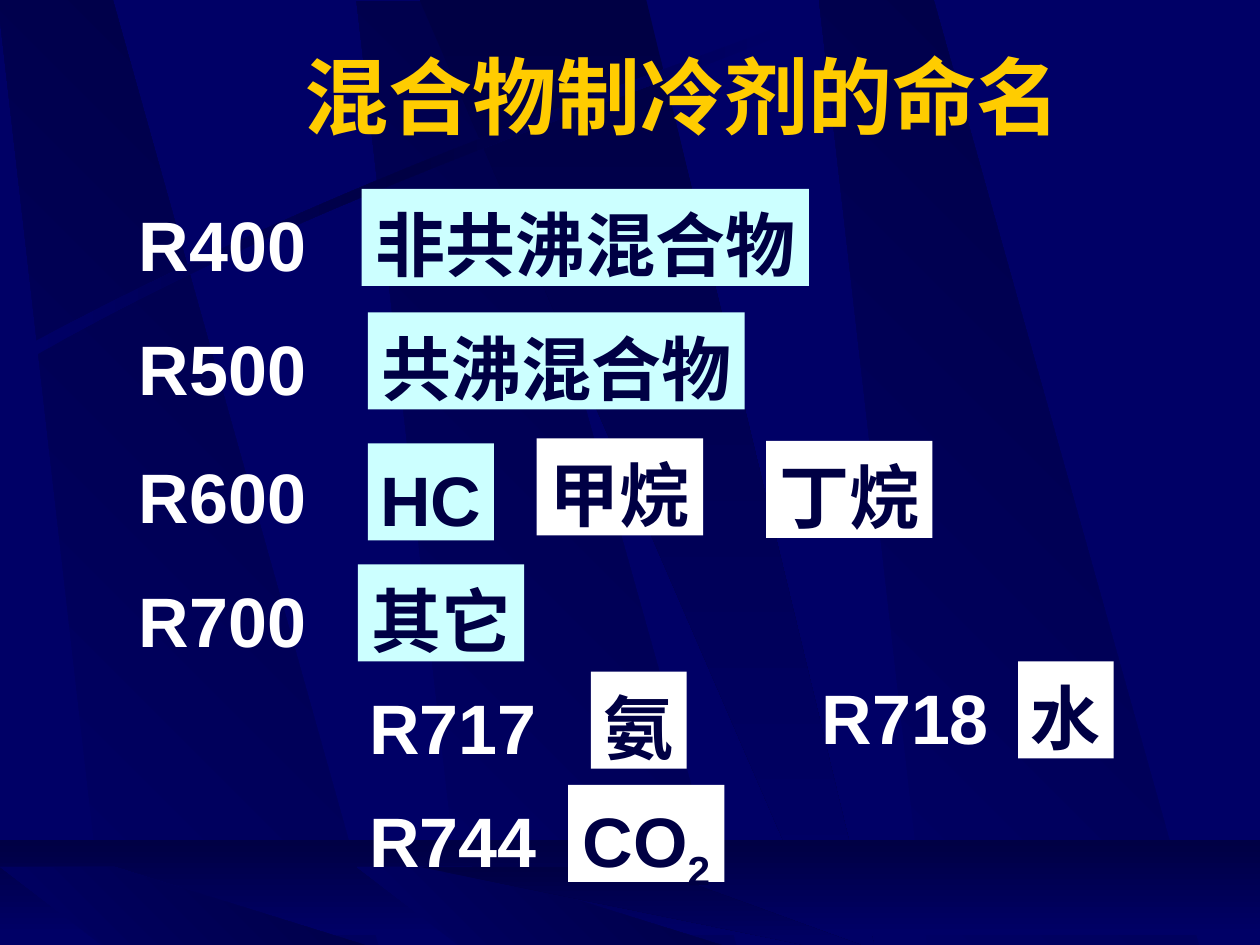
from copy import deepcopy
from dataclasses import dataclass

from pptx import Presentation
from pptx.dml.color import RGBColor as RGB
from pptx.enum.shapes import MSO_SHAPE as Kind
from pptx.enum.text import MSO_ANCHOR as Anchor, MSO_AUTO_SIZE as Fit, PP_ALIGN as Align
from pptx.oxml.ns import qn
from pptx.util import Inches, Pt


@dataclass(frozen=True)
class Theme:
    """Colours, fonts and type sizes of the slide."""
    blue: RGB = RGB(0x00, 0x00, 0x66)
    navy: RGB = RGB(0x00, 0x00, 0x44)
    gold: RGB = RGB(0xFF, 0xCC, 0x00)
    aqua: RGB = RGB(0xCC, 0xFF, 0xFF)
    white: RGB = RGB(0xFF, 0xFF, 0xFF)
    font: str = "Arial"
    alt: str = "Montserrat"
    head: int = 48
    body: int = 40


T = Theme()
TALL = 0.77
CODE = 1.53


def shade(shape, tones, angle):
    """Fill a shape with an evenly spaced gradient and no line."""
    shape.shadow.inherit = False
    shape.line.fill.background()
    shape.fill.gradient()
    shape.fill.gradient_angle = angle
    stops = next(shape.element.spPr.iter(qn("a:gsLst")))
    for _ in tones[2:]:
        stops.append(deepcopy(stops[0]))
    for rank, (stop, tone) in enumerate(zip(shape.fill.gradient_stops, tones)):
        stop.color.rgb = tone
        stop.position = rank / (len(tones) - 1)


def outline(shapes, points, tones, angle):
    """Draw a closed gradient outline through points in inches."""
    spots = [(Inches(x), Inches(y)) for x, y in points]
    pen = shapes.build_freeform(*spots[0])
    pen.add_line_segments(spots[1:], close=True)
    shade(pen.convert_to_shape(), tones, angle)


def band(shapes, x, y, tall):
    """Draw a slanted band from its top left corner."""
    points = [(x, y), (x + 0.91, y), (x + 3.02, y + tall), (x + 0.86, y + tall)]
    outline(shapes, points, (T.blue, T.navy), 45)


def beam(shapes, x, y, tall):
    """Draw a beam that narrows towards its foot."""
    points = [(x, y), (x + 1.8, y), (x + 3.61, y + tall), (x + 3.25, y + tall)]
    outline(shapes, points, (T.navy, T.blue), 270)


def curve(a, b, c, d, steps=24):
    """Return points along a cubic curve."""
    def at(t, axis):
        s = 1 - t
        return (s**3 * a[axis] + 3 * s * s * t * b[axis]
                + 3 * s * t * t * c[axis] + t**3 * d[axis])
    return [(at(i / steps, 0), at(i / steps, 1)) for i in range(steps + 1)]


def streak(shapes):
    """Draw the thin curved streak across the bands."""
    upper = curve((0.2, 2.75), (2.84, 1.34), (5.24, 0.59), (6.26, 0.18))
    lower = curve((6.29, 0.24), (5.28, 0.69), (2.54, 1.51), (0.23, 2.85))
    outline(shapes, upper + lower, (T.blue, T.navy, T.blue), 0)


def scene(slide):
    """Paint the background with its bands, streak and floor."""
    slide.background.fill.solid()
    slide.background.fill.fore_color.rgb = T.blue
    shapes = slide.shapes
    for x, y in ((2.83, 0.01), (-0.02, -0.02), (6.5, 0)):
        band(shapes, x, y, 7.52)
    beam(shapes, 3.33, 0, 7.51)
    streak(shapes)
    floor = shapes.add_shape(Kind.RECTANGLE, 0, Inches(6.67), Inches(10), Inches(0.75))
    shade(floor, (T.navy, T.blue), 270)
    for x in (2.83, 0):
        band(shapes, x, 6.88, 0.66)
    beam(shapes, 3.33, 6.88, 0.66)


def write(para, text, size, tone, face=T.font):
    """Add one bold run and return it."""
    run = para.add_run()
    run.text = text
    font = run.font
    font.size, font.bold, font.name = Pt(size), True, face
    font.color.rgb = tone
    return run


def title(slide):
    """Place and fill the title above the background."""
    head = slide.shapes.title
    slide.shapes.element.append(head.element)
    head.left, head.top = Inches(1.58), Inches(0.3)
    head.width, head.height = Inches(7.67), Inches(0.9)
    frame = head.text_frame
    frame.auto_size, frame.vertical_anchor = Fit.NONE, Anchor.MIDDLE
    para = frame.paragraphs[0]
    para.alignment = Align.CENTER
    write(para, "混合物", T.head, T.gold)
    write(para, "制冷剂的命名", T.head, T.gold, T.alt)


def label(shapes, text, x, y, wide, fill=None, sub=""):
    """Add a code in white, or a name in navy on a filled box."""
    place = Inches(x), Inches(y), Inches(wide), Inches(TALL)
    if fill is None:
        box = shapes.add_textbox(*place)
    else:
        box = shapes.add_shape(Kind.RECTANGLE, *place)
        box.shadow.inherit = False
        box.fill.solid()
        box.fill.fore_color.rgb = fill
        box.line.fill.background()
    frame = box.text_frame
    frame.word_wrap, frame.auto_size = False, Fit.NONE
    frame.vertical_anchor, frame.margin_top = Anchor.TOP, Inches(0.1)
    para = frame.paragraphs[0]
    para.alignment = Align.CENTER
    tone = T.white if fill is None else T.navy
    write(para, text, T.body, tone)
    if sub:
        run = write(para, sub, T.body, tone)
        run.font._element.set("baseline", "-25000")


def pair(slide, code, x, y, name, left, wide, sub=""):
    """Group a code with its substance."""
    shapes = slide.shapes.add_group_shape().shapes
    label(shapes, code, x, y, CODE)
    label(shapes, name, left, y, wide, T.white, sub)


def main():
    """Build and save the slide."""
    deck = Presentation()
    deck.slide_width, deck.slide_height = Inches(10), Inches(7.5)
    slide = deck.slides.add_slide(deck.slide_layouts[5])
    scene(slide)
    title(slide)
    for code, y, name, x, top, wide in (
        ("R400", 1.5, "非共沸混合物", 2.87, 1.5, 3.55),
        ("R500", 2.48, "共沸混合物", 2.92, 2.48, 2.99),
        ("R600", 3.5, "HC", 2.92, 3.52, 1),
        ("R700", 4.48, "其它", 2.84, 4.48, 1.32),
    ):
        label(slide.shapes, code, 1, y, CODE)
        label(slide.shapes, name, x, top, wide, T.aqua)
    pair(slide, "R717", 2.83, 5.33, "氨", 4.69, 0.76)
    pair(slide, "R744", 2.83, 6.23, "CO", 4.51, 1.24, "2")
    pair(slide, "R718", 6.42, 5.25, "水", 8.08, 0.76)
    label(slide.shapes, "甲烷", 4.26, 3.48, 1.32, T.white)
    label(slide.shapes, "丁烷", 6.08, 3.5, 1.32, T.white)
    deck.save("out.pptx")


if __name__ == "__main__":
    main()
